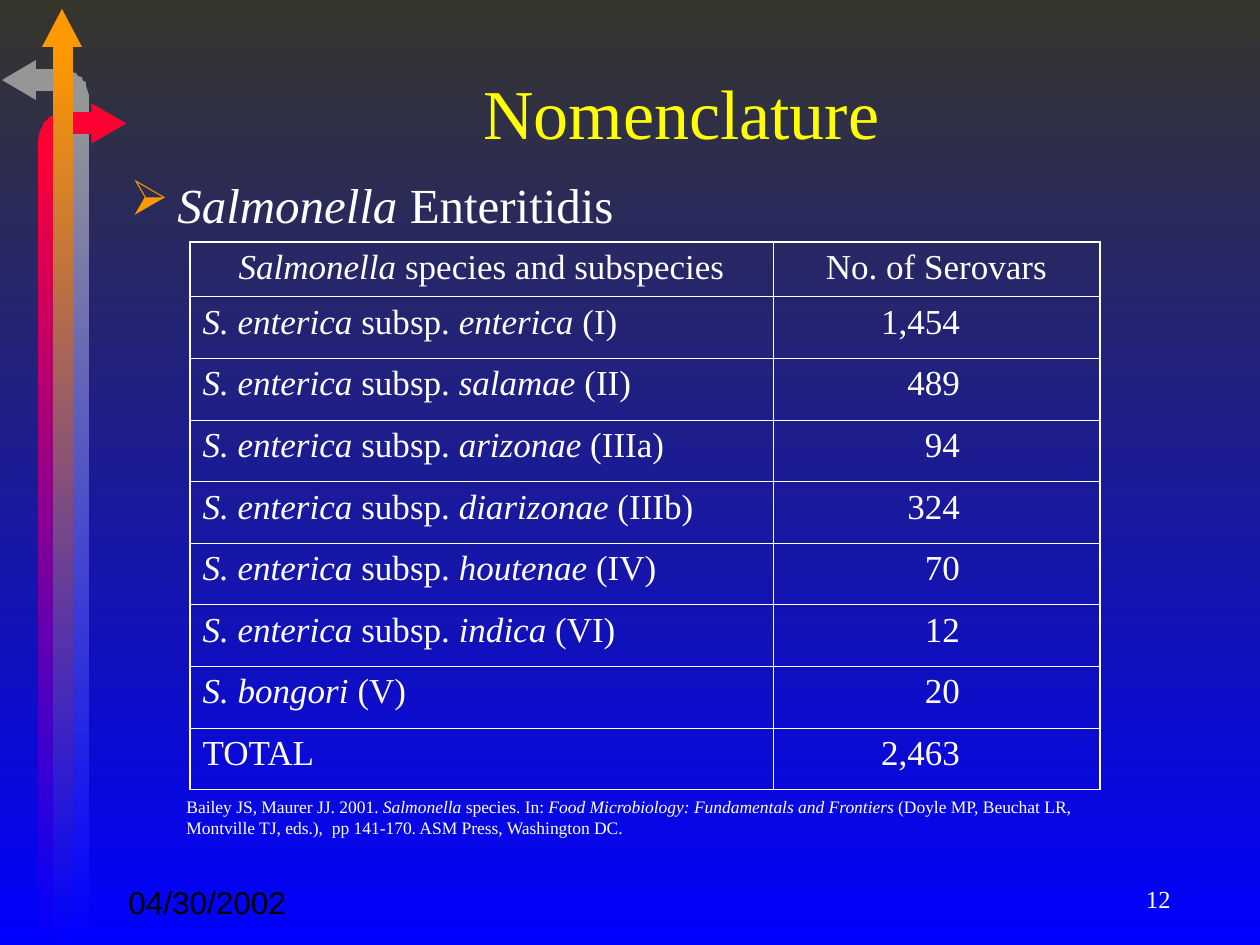
from dataclasses import dataclass

from lxml.etree import SubElement
from pptx import Presentation
from pptx.dml.color import RGBColor
from pptx.enum.shapes import MSO_SHAPE
from pptx.enum.text import MSO_ANCHOR, PP_ALIGN
from pptx.oxml import parse_xml
from pptx.oxml.ns import nsdecls, qn
from pptx.util import Emu, Pt


@dataclass(frozen=True)
class Theme:
    dark: str = "36362B"
    blue: str = "0000FF"
    grey: str = "969696"
    red: str = "FF0033"
    orange: str = "FF9900"
    yellow: str = "FFFF00"
    white: str = "FFFFFF"
    black: str = "000000"
    serif: str = "Times New Roman"
    sans: str = "Arial"
    title: int = 40
    body: int = 28
    cell: int = 20
    date: int = 18
    number: int = 14
    source: int = 10
    outer: float = 1.08
    inner: float = 0.45


T = Theme()
PX = 914400 / 126

# Rounded corners of the two bent arrows, in px
GREY_BEND = [(55, 69), (55, 91), (59, 91), (64, 92), (67, 96), (69, 98), (69, 102),
             (89, 102), (89, 98), (89, 95), (88, 92), (87, 89), (86, 86), (86, 82),
             (83, 81), (82, 77), (78, 76), (76, 73), (71, 72), (64, 71), (60, 69)]
RED_BEND = [(72, 112), (72, 134), (68, 134), (64, 135), (60, 138), (59, 141), (59, 145),
            (38, 145), (38, 140), (39, 136), (39, 134), (40, 131), (42, 127), (43, 125),
            (44, 122), (47, 120), (49, 117), (52, 116), (57, 113), (63, 112), (67, 112)]

# Asterisks enclose italics
SUBSPECIES = [("enterica", "I", "1,454"), ("salamae", "II", "489"),
              ("arizonae", "IIIa", "94"), ("diarizonae", "IIIb", "324"),
              ("houtenae", "IV", "70"), ("indica", "VI", "12")]
ROWS = [("*Salmonella *species and subspecies", "No. of Serovars"),
        *((f"*S. enterica *subsp. *{name}* ({group})", count)
          for name, group, count in SUBSPECIES),
        ("*S. bongori *(V)", "20"),
        ("TOTAL", "2,463")]
SOURCE = ("Bailey JS, Maurer JJ. 2001. *Salmonella *species. In: "
          "*Food Microbiology: Fundamentals and Frontiers* (Doyle MP, Beuchat LR, "
          "Montville TJ, eds.),  pp 141-170. ASM Press, Washington DC.")


def px(n):
    return Emu(round(n * PX))


def rgb(color):
    return RGBColor.from_string(color)


def set_gradient(fill, top, bottom):
    fill.gradient()
    fill.gradient_angle = 270
    for stop, color, position in zip(fill.gradient_stops, (top, bottom), (0, 1)):
        stop.color.rgb = rgb(color)
        stop.position = position


def paint(s, color, fade=None):
    s.shadow.inherit = False
    s.line.fill.background()
    if fade:
        set_gradient(s.fill, color, fade)
    else:
        s.fill.solid()
        s.fill.fore_color.rgb = rgb(color)


def add_preset(slide, kind, box, color, fade=None, rotation=0):
    s = slide.shapes.add_shape(kind, *map(px, box))
    s.rotation = rotation
    paint(s, color, fade)


def add_bend(slide, points, color):
    builder = slide.shapes.build_freeform(*points[0], scale=PX)
    builder.add_line_segments(points[1:], close=True)
    paint(builder.convert_to_shape(), color)


def write(p, text, size, color=T.white, font=T.serif, align=PP_ALIGN.LEFT):
    p.alignment = align
    for i, part in enumerate(text.split("*")):
        if not part:
            continue
        r = p.add_run()
        r.text = part
        r.font.color.rgb = rgb(color)
        fmt = {"name": font, "size": Pt(size), "italic": i % 2 == 1}
        for name, value in fmt.items():
            setattr(r.font, name, value)


def add_text(slide, box, text, size, anchor=MSO_ANCHOR.TOP, **fmt):
    tf = slide.shapes.add_textbox(*map(px, box)).text_frame
    tf.word_wrap = True
    tf.vertical_anchor = anchor
    p = tf.paragraphs[0]
    write(p, text, size, **fmt)
    return p


def add_bullet(p, char, color, indent):
    pPr = p._p.get_or_add_pPr()
    pPr.set("marL", str(px(indent)))
    pPr.set("indent", str(-px(indent)))
    clr = SubElement(pPr, qn("a:buClr"))
    SubElement(clr, qn("a:srgbClr")).set("val", color)
    SubElement(pPr, qn("a:buChar")).set("char", char)


def set_borders(cell, widths):
    tcPr = cell._tc.get_or_add_tcPr()
    for i, (side, width) in enumerate(zip("LRTB", widths)):
        tcPr.insert(i, parse_xml(
            f'<a:ln{side} {nsdecls("a")} w="{Pt(width)}"><a:solidFill>'
            f'<a:srgbClr val="{T.white}"/></a:solidFill></a:ln{side}>'))


def add_serovar_table(slide):
    left, top, width, height = 190, 242, 910, 547
    name_width, header_height, count_inset = 583, 54, 140
    last_row, last_col = len(ROWS) - 1, 1
    table = slide.shapes.add_table(len(ROWS), 2, *map(px, (left, top, width, height))).table
    table.first_row = table.horz_banding = False
    for col, w in zip(table.columns, (name_width, width - name_width)):
        col.width = px(w)
    for i, texts in enumerate(ROWS):
        table.rows[i].height = px((height - header_height) / last_row if i else header_height)
        for j, text in enumerate(texts):
            cell = table.cell(i, j)
            cell.fill.background()
            edges = (j == 0, j == last_col, i == 0, i == last_row)
            set_borders(cell, [T.outer if edge else T.inner for edge in edges])
            align = PP_ALIGN.CENTER if i == 0 else (PP_ALIGN.LEFT, PP_ALIGN.RIGHT)[j]
            if align == PP_ALIGN.RIGHT:
                cell.margin_right = px(count_inset)
            write(cell.text_frame.paragraphs[0], text, T.cell, align=align)


def add_arrows(slide):
    rect, head = MSO_SHAPE.RECTANGLE, MSO_SHAPE.ISOSCELES_TRIANGLE
    # Grey arrow pointing left, and the orange head
    add_preset(slide, rect, (35, 69, 20, 22), T.grey)
    add_bend(slide, GREY_BEND, T.grey)
    add_preset(slide, head, (-1, 63, 40, 34), T.grey, rotation=270)
    add_preset(slide, head, (42, 9, 40, 38), T.orange)
    add_preset(slide, rect, (69, 102, 20, 843), T.grey, T.blue)
    # Red arrow pointing right
    add_bend(slide, RED_BEND, T.red)
    add_preset(slide, head, (89, 106, 40, 35), T.red, rotation=90)
    add_preset(slide, rect, (72, 112, 20, 22), T.red)
    add_preset(slide, rect, (38, 144, 20, 801), T.red, T.blue)
    # Orange stem in front
    add_preset(slide, rect, (53, 47, 20, 898), T.orange, T.blue)


def main():
    prs = Presentation()
    prs.slide_width, prs.slide_height = px(1260), px(945)
    slide = prs.slides.add_slide(prs.slide_layouts[6])
    set_gradient(slide.background.fill, T.dark, T.blue)
    add_arrows(slide)

    # Title and bullet
    add_text(slide, (149, 33, 1065, 157), "Nomenclature", T.title, MSO_ANCHOR.MIDDLE,
             color=T.yellow, align=PP_ALIGN.CENTER)
    p = add_text(slide, (118, 168, 548, 87), "*Salmonella *Enteritidis", T.body)
    add_bullet(p, "➢", T.orange, 47)

    # Table and its source
    add_serovar_table(slide)
    add_text(slide, (174, 790, 937, 55), SOURCE, T.source)

    # Slide number and date
    add_text(slide, (903, 878, 280, 42), "12", T.number, MSO_ANCHOR.MIDDLE,
             align=PP_ALIGN.RIGHT)
    add_text(slide, (116, 881, 338, 42), "04/30/2002", T.date, MSO_ANCHOR.MIDDLE,
             color=T.black, font=T.sans)
    prs.save("out.pptx")


if __name__ == "__main__":
    main()
